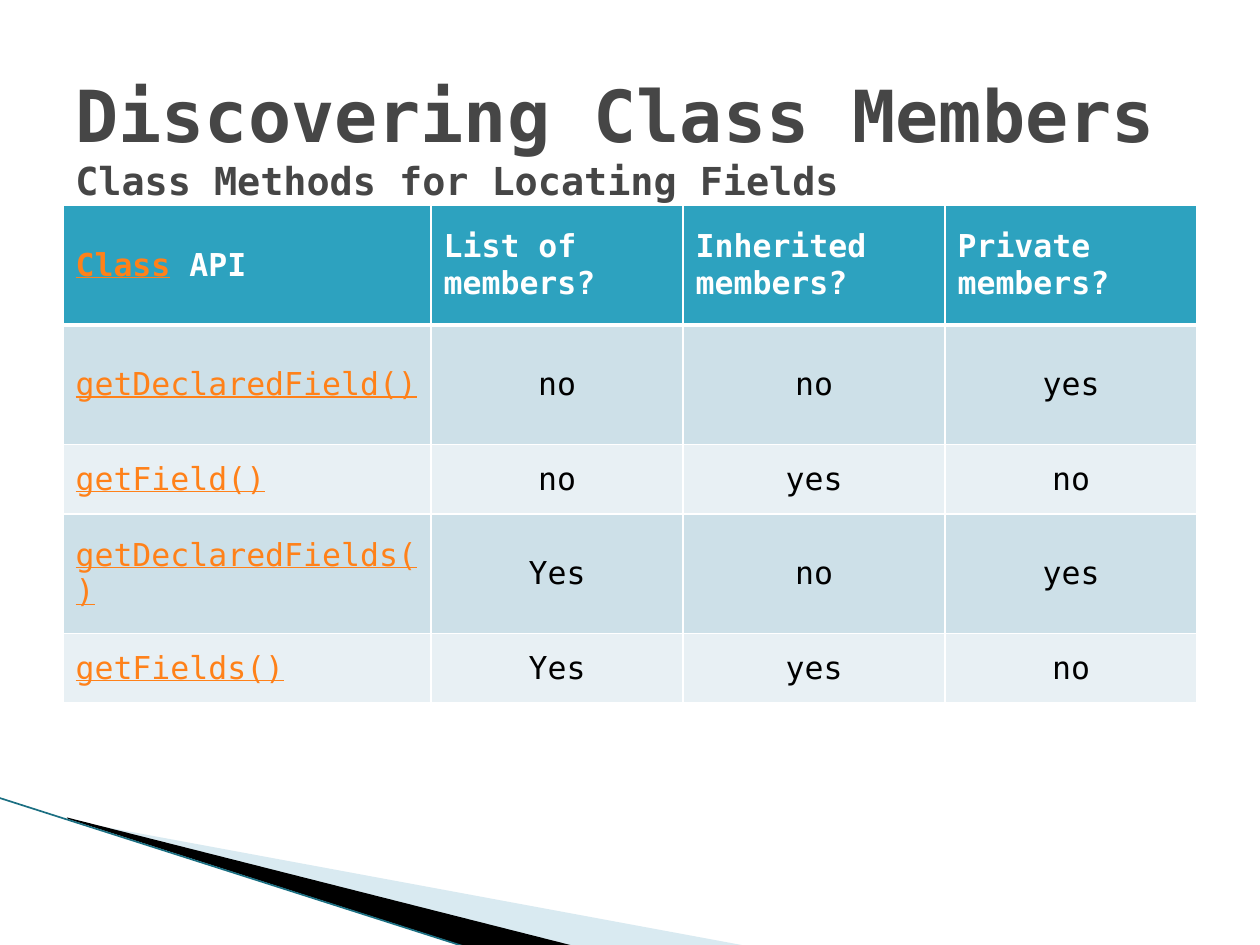
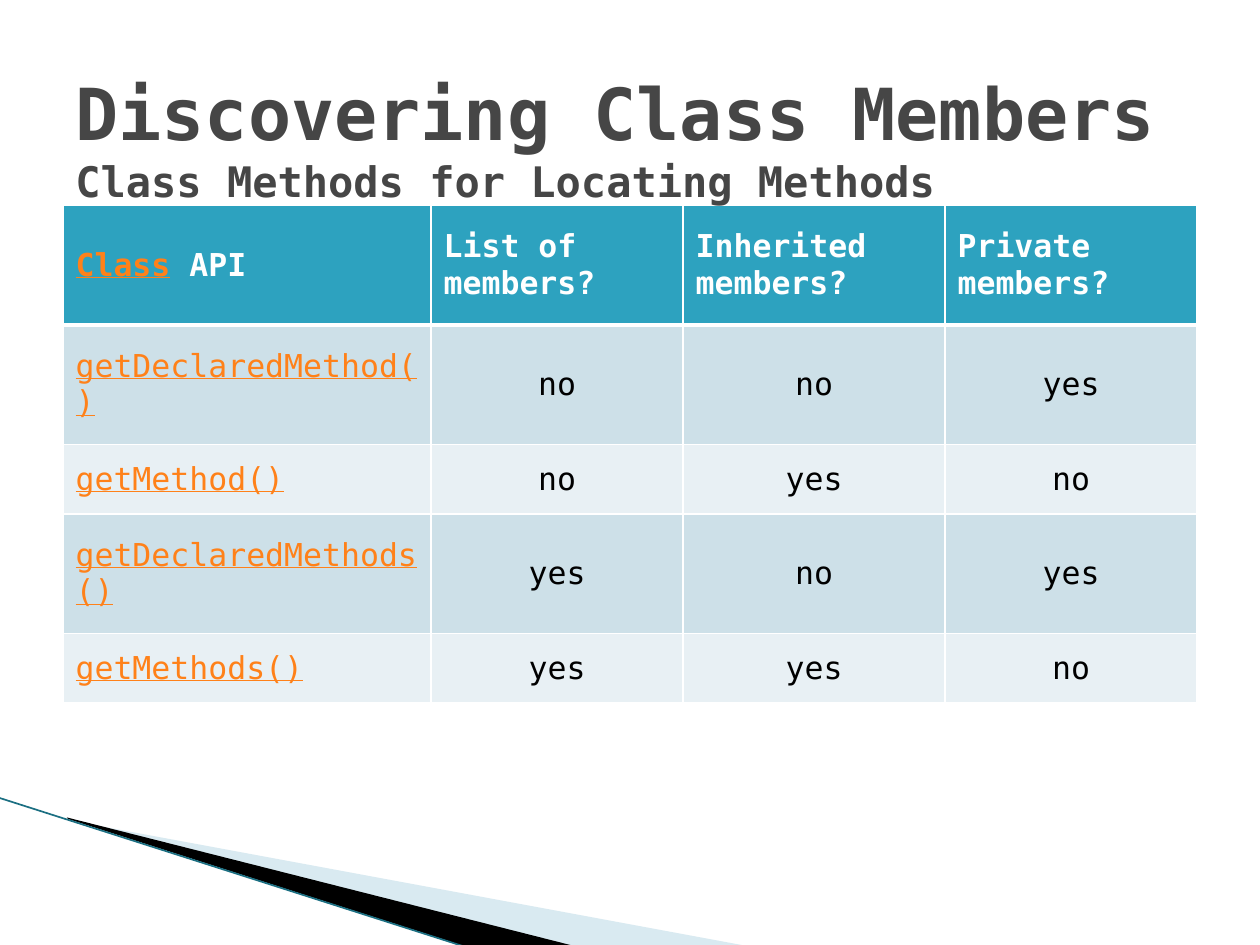
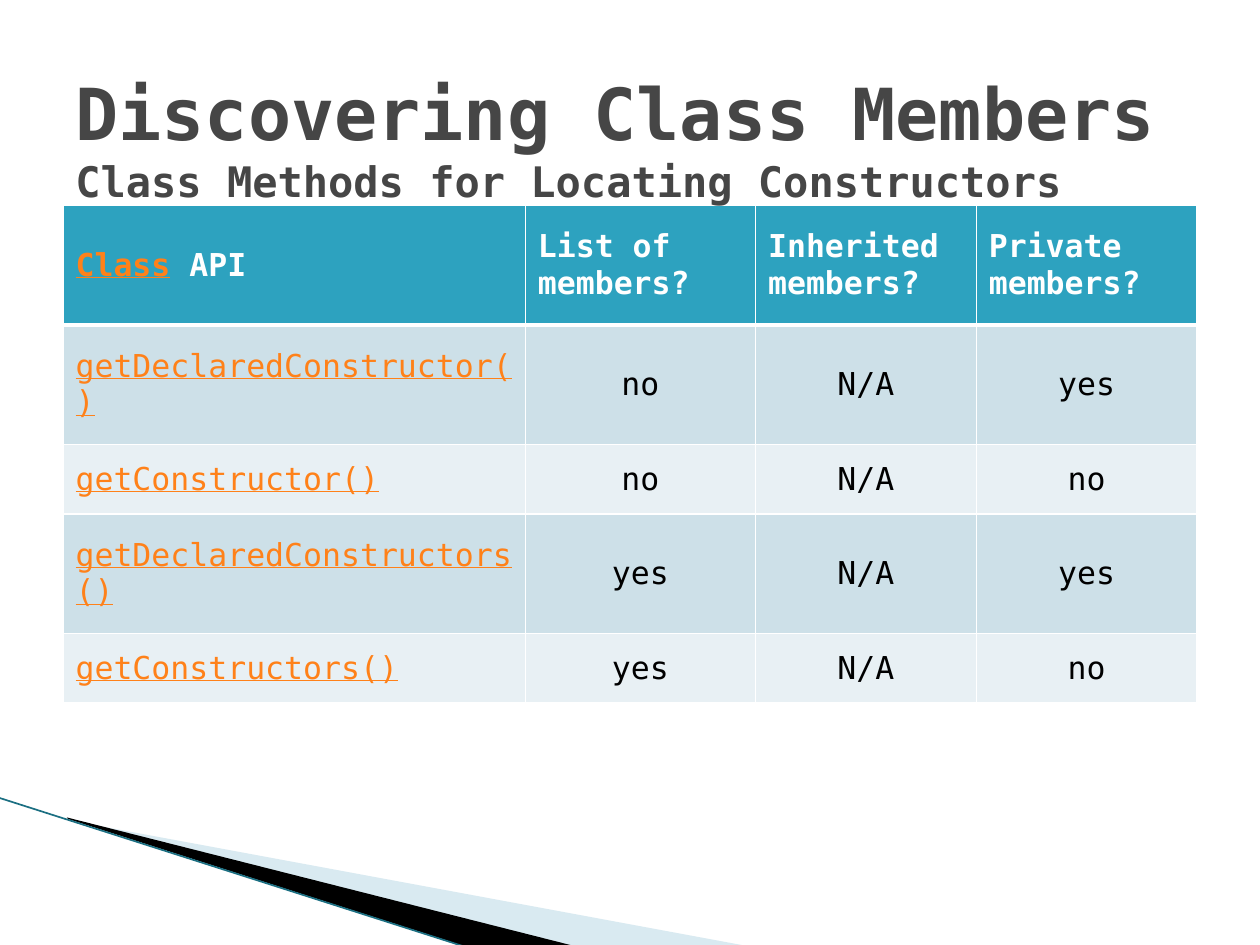
from dataclasses import dataclass

from lxml.etree import SubElement
from pptx import Presentation
from pptx.dml.color import RGBColor
from pptx.enum.shapes import MSO_CONNECTOR
from pptx.enum.text import MSO_ANCHOR, PP_ALIGN
from pptx.oxml.ns import qn
from pptx.util import Cm, Pt


@dataclass(frozen=True)
class Theme:
    font: str = "DejaVu Sans Mono"
    title: str = "464646"
    link: str = "FF8119"
    header_text: str = "FFFFFF"
    body_text: str = "000000"
    header_fill: str = "2DA2BF"
    band_fills: tuple = ("CDE0E8", "E8F0F4")
    border: str = "FFFFFF"
    pale_wedge: str = "A0CBDC"
    dark_wedge: str = "000000"
    edge: str = "1B6F82"
    title_size: int = 41
    table_size: int = 18
    border_width: int = 1
    header_rule: int = 3


THEME = Theme()
TITLE = "Discovering Class Members"
HEADERS = ("Class API", "List of members?", "Inherited members?", "Private members?")
ROW_HEIGHTS = (2.41, 2.41, 1.4, 2.41, 1.4)
NARROW_API = (7.42, 5.08, 5.28, 5.08)
WIDE_API = (9.32, 4.64, 4.45, 4.45)

# Subtitle, subtitle size, column widths, table rows
SLIDES = (
    ("Class Methods for Locating Fields", 22, NARROW_API, (
        ("getDeclaredField()", "no", "no", "yes"),
        ("getField()", "no", "yes", "no"),
        ("getDeclaredFields()", "Yes", "no", "yes"),
        ("getFields()", "Yes", "yes", "no"),
    )),
    ("Class Methods for Locating Methods", 24, NARROW_API, (
        ("getDeclaredMethod()", "no", "no", "yes"),
        ("getMethod()", "no", "yes", "no"),
        ("getDeclaredMethods()", "yes", "no", "yes"),
        ("getMethods()", "yes", "yes", "no"),
    )),
    ("Class Methods for Locating Constructors", 24, WIDE_API, (
        ("getDeclaredConstructor()", "no", "N/A", "yes"),
        ("getConstructor()", "no", "N/A", "no"),
        ("getDeclaredConstructors()", "yes", "N/A", "yes"),
        ("getConstructors()", "yes", "N/A", "no"),
    )),
)


def rgb(color):
    return RGBColor.from_string(color)


def format_span(span, size, color, bold=False, underline=False):
    font = span.font
    font.name = THEME.font
    font.size = Pt(size)
    font.bold = bold
    font.underline = underline
    font.color.rgb = rgb(color)


def add_wedge(page, points, color, opacity=None):
    """Draw a filled outline; points are in cm, opacity in percent."""
    corners = [(Cm(x), Cm(y)) for x, y in points]
    builder = page.shapes.build_freeform(*corners[0])
    builder.add_line_segments(corners[1:], close=True)
    wedge = builder.convert_to_shape()
    wedge.shadow.inherit = False
    wedge.line.fill.background()
    wedge.fill.solid()
    wedge.fill.fore_color.rgb = rgb(color)
    if opacity is not None:
        tint = wedge.element.spPr.find(f".//{qn('a:srgbClr')}")
        SubElement(tint, qn("a:alpha"), val=str(opacity * 1000))


def add_edge(page):
    edge = page.shapes.add_connector(
        MSO_CONNECTOR.STRAIGHT, Cm(-0.03), Cm(16.08), Cm(9.42), Cm(19.1))
    edge.line.color.rgb = rgb(THEME.edge)
    edge.line.width = Pt(0.95)
    SubElement(edge.element.spPr, qn("a:effectLst"))


def add_corner_decoration(page):
    add_wedge(page, ((1.4, 16.54), (15.11, 19.08), (11.58, 19.08), (1.4, 16.51)),
              THEME.pale_wedge, opacity=40)
    add_wedge(page, ((1.35, 16.48), (11.61, 19.08), (9.45, 19.1), (1.37, 16.51)),
              THEME.dark_wedge)
    add_edge(page)


def add_title(page, subtitle, subtitle_size):
    box = page.shapes.add_textbox(Cm(1.27), Cm(0.76), Cm(22.86), Cm(3.89))
    frame = box.text_frame
    frame.word_wrap = True
    frame.vertical_anchor = MSO_ANCHOR.MIDDLE
    frame.margin_bottom = 0
    frame.text = f"{TITLE}\v{subtitle}"
    sizes = (THEME.title_size, subtitle_size)
    for span, size in zip(frame.paragraphs[0].runs, sizes):
        format_span(span, size, THEME.title, bold=True)


def set_borders(cell, top, bottom):
    """Add cell borders, which must come before the cell's fill."""
    properties = cell._tc.get_or_add_tcPr()
    side = THEME.border_width
    for tag, width in (("lnL", side), ("lnR", side), ("lnT", top), ("lnB", bottom)):
        line = SubElement(properties, qn(f"a:{tag}"), w=str(Pt(width)))
        fill = SubElement(line, qn("a:solidFill"))
        SubElement(fill, qn("a:srgbClr"), val=THEME.border)


def fill_header_cell(cell, text):
    paragraph = cell.text_frame.paragraphs[0]
    paragraph.text = text
    span = paragraph.runs[0]
    if text == HEADERS[0]:
        span.text = "Class"
        format_span(span, THEME.table_size, THEME.link, bold=True, underline=True)
        span = paragraph.add_run()
        span.text = " API"
    format_span(span, THEME.table_size, THEME.header_text, bold=True)


def fill_body_cell(cell, text, is_method):
    paragraph = cell.text_frame.paragraphs[0]
    paragraph.text = text
    paragraph.alignment = PP_ALIGN.LEFT if is_method else PP_ALIGN.CENTER
    color = THEME.link if is_method else THEME.body_text
    format_span(paragraph.runs[0], THEME.table_size, color, underline=is_method)


def add_method_table(page, widths, methods):
    rows = (HEADERS, *methods)
    table = page.shapes.add_table(
        len(rows), len(HEADERS), Cm(1.27), Cm(4.14),
        Cm(sum(widths)), Cm(sum(ROW_HEIGHTS))).table
    for column, width in zip(table.columns, widths):
        column.width = Cm(width)
    for row, height in zip(table.rows, ROW_HEIGHTS):
        row.height = Cm(height)

    for row_index, texts in enumerate(rows):
        is_header = row_index == 0
        top = THEME.header_rule if row_index == 1 else THEME.border_width
        bottom = THEME.header_rule if is_header else THEME.border_width
        band = THEME.header_fill if is_header else THEME.band_fills[(row_index - 1) % 2]
        for column_index, text in enumerate(texts):
            cell = table.cell(row_index, column_index)
            cell.vertical_anchor = MSO_ANCHOR.MIDDLE
            set_borders(cell, top, bottom)
            cell.fill.solid()
            cell.fill.fore_color.rgb = rgb(band)
            if is_header:
                fill_header_cell(cell, text)
            else:
                fill_body_cell(cell, text, is_method=column_index == 0)


def main():
    deck = Presentation()
    deck.slide_width = Cm(25.4)
    deck.slide_height = Cm(19.05)
    blank = deck.slide_layouts[6]
    for subtitle, subtitle_size, widths, methods in SLIDES:
        page = deck.slides.add_slide(blank)
        add_corner_decoration(page)
        add_method_table(page, widths, methods)
        add_title(page, subtitle, subtitle_size)
    deck.save("out.pptx")


if __name__ == "__main__":
    main()
